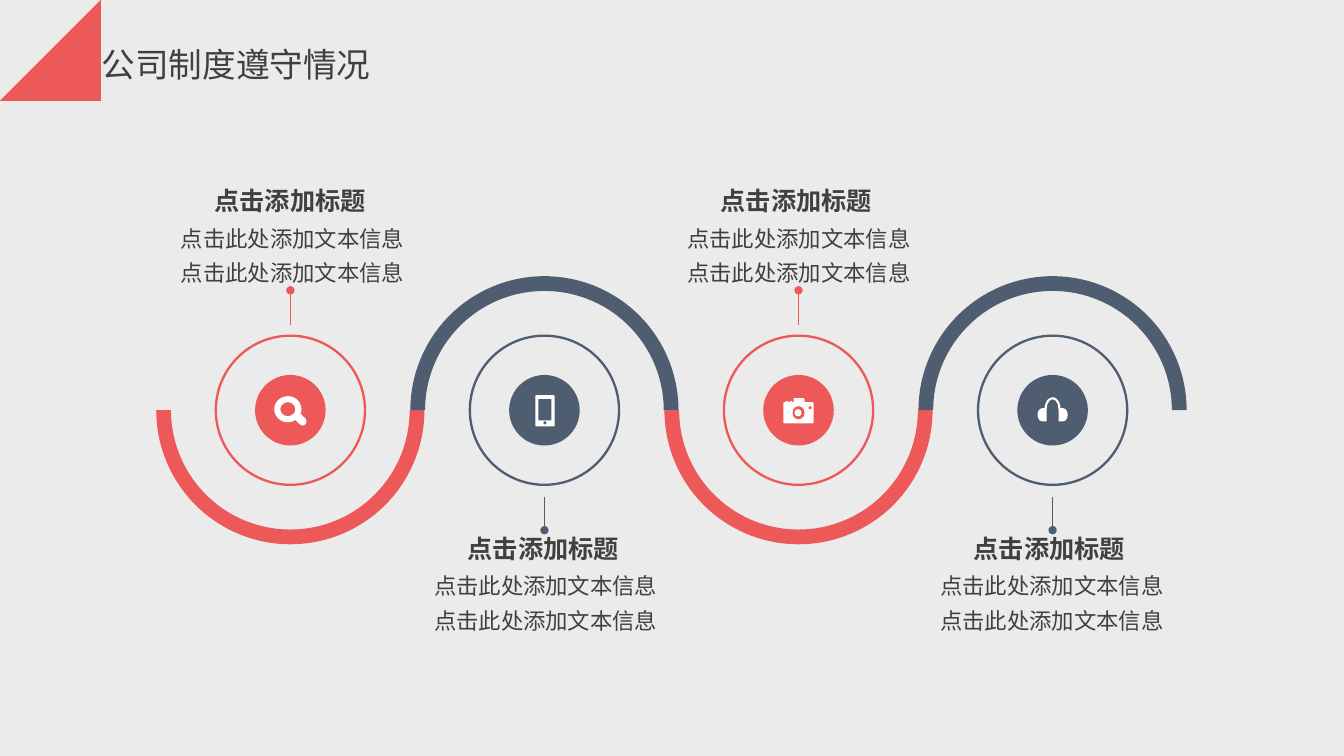
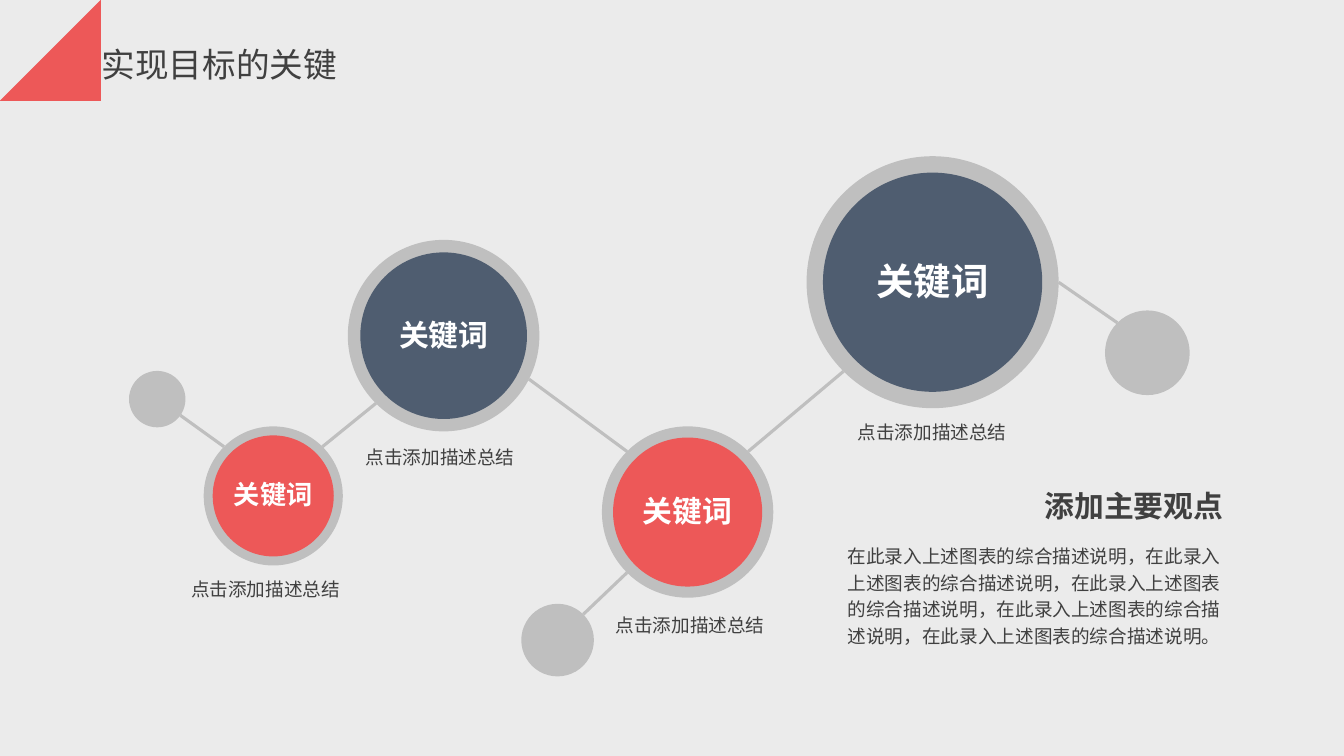
import math
from collections import namedtuple

from lxml import etree
from pptx import Presentation
from pptx import util as u
from pptx.dml.color import RGBColor
from pptx.enum import shapes, text
from pptx.oxml import ns

Inches = u.Inches
Preset = shapes.MSO_SHAPE
Align = text.PP_ALIGN
Circle = namedtuple("Circle", "x y radius")


class Theme:
    font = "Noto Sans CJK SC"
    background = RGBColor(0xEB, 0xEB, 0xEB)
    red = RGBColor(0xED, 0x58, 0x58)
    navy = RGBColor(0x4F, 0x5D, 0x70)
    grey = RGBColor(0xBF, 0xBF, 0xBF)
    white = RGBColor(0xFF, 0xFF, 0xFF)
    ink = RGBColor(0x40, 0x40, 0x40)
    title = {"size": u.Pt(24)}
    heading = {"size": u.Pt(18), "bold": True}
    body = {"size": u.Pt(16)}
    opinion = {"size": u.Pt(21.3), "bold": True}
    note = {"size": u.Pt(13.3)}


MARKER = (
    ((0.82, 0.54), (0.83, 0.54), (0.91, 0.62), (0.83, 0.71), (0.82, 0.71), (0.9, 0.62)),
    ((0.44, 0.54), (0.46, 0.54), (0.38, 0.62), (0.46, 0.71), (0.44, 0.71), (0.36, 0.62)),
    ((0.64, 0.38), (0.87, 0.62), (0.64, 0.87), (0.4, 0.62)),
)

# Icon parts: preset, left and top from the icon centre, width, height,
# whether the part is cut out in the accent colour, extra settings
MAGNIFIER = (
    (Preset.DONUT, -0.16, -0.14, 0.27, 0.26, False, {"adjustments": [0.23]}),
    (Preset.ROUNDED_RECTANGLE, 0.03, 0.05, 0.14, 0.08, False,
     {"adjustments": [0.5], "rotation": 45}),
)
PHONE = (
    (Preset.ROUNDED_RECTANGLE, -0.09, -0.15, 0.19, 0.31, False, {"adjustments": [0.05]}),
    (Preset.ROUNDED_RECTANGLE, -0.06, -0.11, 0.13, 0.21, True, {"adjustments": [0.05]}),
    (Preset.OVAL, -0.01, 0.11, 0.03, 0.03, True, {}),
)
CAMERA = (
    (Preset.ROUNDED_RECTANGLE, -0.15, -0.08, 0.3, 0.21, False, {"adjustments": [0.05]}),
    (Preset.ROUNDED_RECTANGLE, -0.05, -0.12, 0.11, 0.06, False, {"adjustments": [0.2]}),
    (Preset.OVAL, -0.06, -0.04, 0.12, 0.13, True, {}),
    (Preset.OVAL, -0.04, -0.01, 0.07, 0.07, False, {}),
    (Preset.OVAL, 0.1, -0.04, 0.03, 0.03, True, {}),
    (Preset.OVAL, -0.13, -0.09, 0.03, 0.02, False, {}),
    (Preset.OVAL, -0.09, -0.09, 0.03, 0.02, False, {}),
)
HEADPHONES = (
    (Preset.BLOCK_ARC, -0.08, -0.13, 0.16, 0.24, False, {"adjustments": [108, 0, 0.13]}),
    (Preset.FLOWCHART_DELAY, -0.15, -0.02, 0.09, 0.13, False, {"rotation": 180}),
    (Preset.FLOWCHART_DELAY, 0.06, -0.02, 0.09, 0.13, False, {}),
)


class Deck:
    """Holds the presentation, its shared style and the current slide."""

    def __init__(self):
        self.presentation = Presentation()
        self.presentation.slide_width = Inches(13.33)
        self.presentation.slide_height = Inches(7.5)
        fill = self.presentation.slide_master.background.fill
        fill.solid()
        fill.fore_color.rgb = Theme.background
        self.slide = None

    def add_slide(self, title, title_width):
        self.slide = self.presentation.slides.add_slide(self.presentation.slide_layouts[6])
        builder = self.slide.shapes.build_freeform(*MARKER[0][0], scale=Inches(1))
        for outline in MARKER:
            builder.move_to(*outline[0])
            builder.add_line_segments(outline[1:], close=True)
        self.paint(builder.convert_to_shape(), fill=Theme.red)
        self.text_box(title, 0.91, 0.39, title_width, 0.5, Theme.title, wrap=False)

    def paint(self, shape, fill=None, outline=None, weight=1.63):
        shape.shadow.inherit = False
        if fill is None:
            shape.fill.background()
        else:
            shape.fill.solid()
            shape.fill.fore_color.rgb = fill
        if outline is None:
            shape.line.fill.background()
        else:
            shape.line.color.rgb = outline
            shape.line.width = u.Pt(weight)

    def preset(self, kind, left, top, width, height, rotation=0, adjustments=(), **paint):
        shape = self.slide.shapes.add_shape(
            kind, Inches(left), Inches(top), Inches(width), Inches(height))
        shape.rotation = rotation
        for index, value in enumerate(adjustments):
            shape.adjustments[index] = value
        self.paint(shape, **paint)
        return shape

    def disc(self, circle, **paint):
        x, y, radius = circle
        return self.preset(Preset.OVAL, x - radius, y - radius,
                           2 * radius, 2 * radius, **paint)

    def icon(self, parts, x, y, accent):
        for kind, left, top, width, height, cut_out, settings in parts:
            self.preset(kind, x + left, y + top, width, height,
                        fill=accent if cut_out else Theme.white, **settings)

    def line(self, start, end, color, weight, oval_tail=False):
        connector = self.slide.shapes.add_connector(
            shapes.MSO_CONNECTOR.STRAIGHT, *map(Inches, (*start, *end)))
        connector.line.color.rgb = color
        connector.line.width = u.Pt(weight)
        properties = connector._element.spPr
        if oval_tail:
            etree.SubElement(properties.find(ns.qn("a:ln")), ns.qn("a:tailEnd"), type="oval")
        etree.SubElement(properties, ns.qn("a:effectLst"))

    def fill_text(self, frame, lines, style, color=Theme.ink, **paragraph_format):
        for index, line in enumerate(lines):
            paragraph = frame.paragraphs[0] if index == 0 else frame.add_paragraph()
            for name, value in paragraph_format.items():
                setattr(paragraph, name, value)
            run = paragraph.add_run()
            run.text = line
            run.font.color.rgb = color
            for name, value in {"name": Theme.font, **style}.items():
                setattr(run.font, name, value)
            etree.SubElement(run._r.get_or_add_rPr(), ns.qn("a:ea"), typeface=Theme.font)

    def text_box(self, lines, left, top, width, height, style,
                 wrap=True, inset=(0.1, 0.05), **paragraph_format):
        box = self.slide.shapes.add_textbox(
            Inches(left), Inches(top), Inches(width), Inches(height))
        frame = box.text_frame
        across, down = map(Inches, inset)
        frame_format = {
            "word_wrap": wrap, "auto_size": text.MSO_AUTO_SIZE.SHAPE_TO_FIT_TEXT,
            "margin_left": across, "margin_right": across,
            "margin_top": down, "margin_bottom": down,
        }
        for name, value in frame_format.items():
            setattr(frame, name, value)
        self.fill_text(frame, lines.split("\n"), style, **paragraph_format)

    def keyword(self, circle, color, size):
        """Grey-rimmed disc with its word inside."""
        self.disc(circle, fill=Theme.grey)
        shape = self.disc(circle._replace(radius=circle.radius * 0.87), fill=color)
        frame = shape.text_frame
        frame.word_wrap = False
        frame.vertical_anchor = text.MSO_ANCHOR.MIDDLE
        frame.margin_bottom = Inches(0.08)
        self.fill_text(frame, ["关键词"], {"size": u.Pt(size), "bold": True},
                       Theme.white, alignment=Align.CENTER)


def rim_point(circle, degrees):
    """Point on the circle, clockwise from its right-hand side."""
    angle = math.radians(degrees)
    return (circle.x + circle.radius * math.cos(angle),
            circle.y + circle.radius * math.sin(angle))


def build_rules_slide(deck):
    deck.add_slide("公司制度遵守情况", 2.89)
    middle, arc_radius = 4.07, 1.33
    for index, parts in enumerate((MAGNIFIER, PHONE, CAMERA, HEADPHONES)):
        x = 2.88 + 2.52 * index
        caption_left = 2.03 + 2.51 * index
        if index % 2 == 0:
            accent, arc_angles = Theme.red, (0, 108)
            pin, caption_top = (3.22, 2.88), 1.79
        else:
            accent, arc_angles = Theme.navy, (108, 0)
            pin, caption_top = (4.93, 5.26), 5.24
        deck.line((x, pin[0]), (x, pin[1]), accent, 0.5, oval_tail=True)
        deck.preset(Preset.BLOCK_ARC, x - arc_radius, middle - arc_radius,
                    2 * arc_radius, 2 * arc_radius, fill=accent,
                    adjustments=(*arc_angles, 0.055))
        deck.disc(Circle(x, middle, 0.74), outline=accent)
        deck.disc(Circle(x, middle, 0.35), fill=accent)
        deck.icon(parts, x, middle, accent)
        deck.text_box("点击添加标题", caption_left, caption_top, 1.73, 0.4, Theme.heading)
        deck.text_box("点击此处添加文本信息\n点击此处添加文本信息",
                      caption_left - 0.65, caption_top + 0.31, 2.73, 0.8, Theme.body,
                      alignment=Align.RIGHT, line_spacing=1.3)


def build_keys_slide(deck):
    deck.add_slide("实现目标的关键", 2.56)
    first, second, third, fourth = nodes = (
        Circle(2.71, 4.92, 0.69), Circle(4.4, 3.33, 0.95),
        Circle(6.82, 5.08, 0.85), Circle(9.25, 2.8, 1.25))
    left_dot, lower_dot, right_dot = dots = (
        Circle(1.56, 3.96, 0.28), Circle(5.53, 6.35, 0.36), Circle(11.38, 3.5, 0.42))

    links = (
        (first, 315, second, 135), (second, 27, third, 225), (third, 315, fourth, 135),
        (left_dot, 35, first, 225), (lower_dot, 315, third, 135), (fourth, 0, right_dot, 225))
    for start, start_angle, end, end_angle in links:
        deck.line(rim_point(start, start_angle), rim_point(end, end_angle), Theme.grey, 2.25)
    for dot in dots:
        deck.disc(dot, fill=Theme.grey)

    colors = (Theme.red, Theme.navy) * 2
    sizes = (18.7, 21.3, 21.3, 26.7)
    note_corners = ((1.64, 5.63), (3.37, 4.32), (5.85, 5.99), (8.25, 4.08))
    for node, color, size, corner in zip(nodes, colors, sizes, note_corners):
        deck.keyword(node, color, size)
        deck.text_box("点击添加描述总结", *corner, 1.99, 0.36, Theme.note, inset=(0.12, 0.06),
                      alignment=Align.CENTER, line_spacing=u.Pt(18.8))

    deck.text_box("添加主要观点", 8.87, 4.78, 3.39, 0.49, Theme.opinion,
                  inset=(0.13, 0.06), alignment=Align.RIGHT)
    summary = "，".join(["在此录入上述图表的综合描述说明"] * 5) + "。"
    deck.text_box(summary, 8.31, 5.31, 4, 1.18, Theme.note, line_spacing=1.2)


def main():
    deck = Deck()
    build_rules_slide(deck)
    build_keys_slide(deck)
    deck.presentation.save("out.pptx")


if __name__ == "__main__":
    main()
